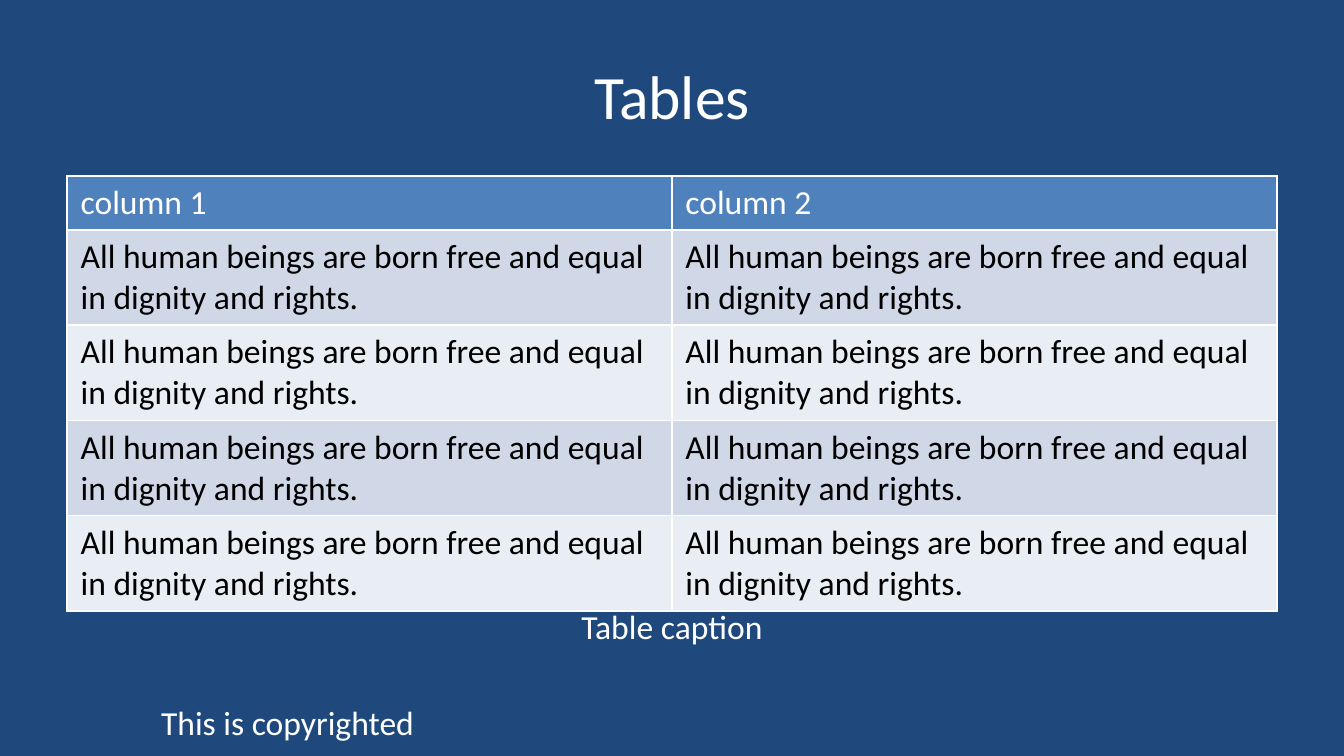
"""Build a slide with a title, a two-column table, a caption and a footer."""
import pptx
import pptx.dml.color
import pptx.enum.text
import pptx.oxml
import pptx.oxml.ns
import pptx.util

hues = {
    "back": "1F497D",
    "white": "FFFFFF",
    "black": "000000",
    "head": "4F81BD",
    "odd": "D0D8E8",
    "even": "E9EDF4",
}
right = "All human beings are born free and equal in dignity and rights."
rows = [["column 1", "column 2"]] + [[right, right]] * 4

deck = pptx.Presentation()
wide = deck.slide_width = pptx.util.Inches(10)
tall = deck.slide_height = wide * 9 // 16
slide = deck.slides.add_slide(deck.slide_layouts[6])


def tint(name):
    return pptx.dml.color.RGBColor.from_string(hues[name])


def style(para, size, hue):
    para.font.name = "Calibri"
    para.font.size = pptx.util.Pt(size)
    para.font.color.rgb = tint(hue)


slide.background.fill.solid()
slide.background.fill.fore_color.rgb = tint("back")

align = pptx.enum.text.PP_ALIGN
anchor = pptx.enum.text.MSO_ANCHOR
labels = [
    ("This is copyrighted", 0.11, 0.92, 0.3, 0.07, 18, align.LEFT, anchor.TOP),
    ("Tables", 0.05, 0.04, 0.9, 0.17, 33, align.CENTER, anchor.MIDDLE),
    ("Table caption", 0.05, 0.793, 0.9, 0.1, 18, align.CENTER, anchor.TOP),
]
for text, left, top, width, height, size, side, hold in labels:
    box = slide.shapes.add_textbox(
        int(left * wide), int(top * tall), int(width * wide), int(height * tall)
    )
    frame = box.text_frame
    frame.word_wrap = True
    frame.vertical_anchor = hold
    para = frame.paragraphs[0]
    para.text = text
    para.alignment = side
    style(para, size, "white")

table = slide.shapes.add_table(
    len(rows), 2, int(0.05 * wide), int(0.233 * tall), int(0.9 * wide), int(0.57 * tall)
).table
for r, texts in enumerate(rows):
    table.rows[r].height = int((0.126 if r else 0.071) * tall)
    fill = ("even", "odd")[r % 2] if r else "head"
    for c, text in enumerate(texts):
        cell = table.cell(r, c)
        cell.text = text
        style(cell.text_frame.paragraphs[0], 18, "black" if r else "white")
        cell.text_frame.paragraphs[0].font.bold = False
        props = cell._tc.get_or_add_tcPr()
        for edge in "LRTB":
            props.append(pptx.oxml.parse_xml(
                f'<a:ln{edge} {pptx.oxml.ns.nsdecls("a")} w="{pptx.util.Pt(1)}">'
                f'<a:solidFill><a:srgbClr val="{hues["white"]}"/></a:solidFill>'
                f'</a:ln{edge}>'
            ))
        cell.fill.solid()
        cell.fill.fore_color.rgb = tint(fill)

deck.save("out.pptx")
